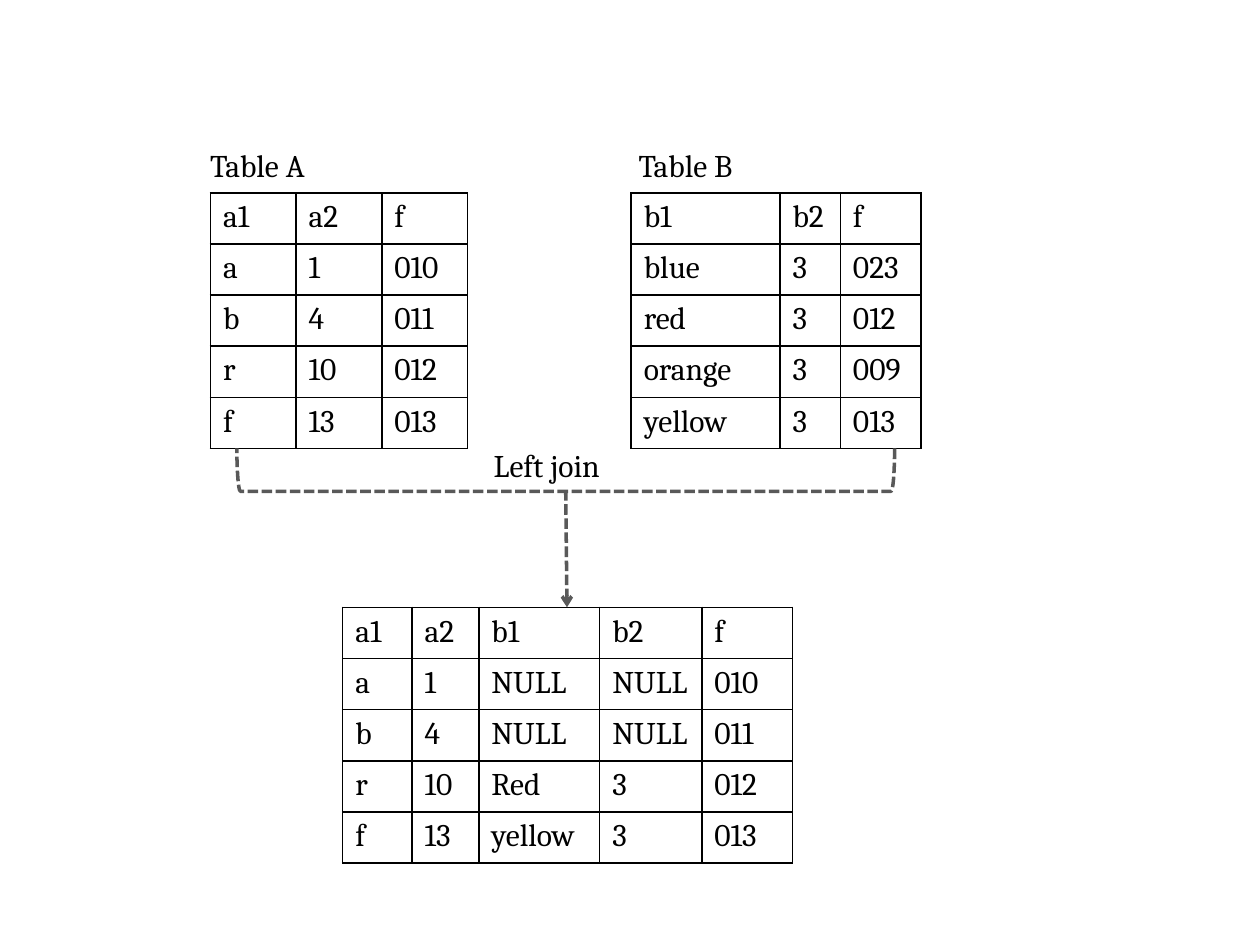
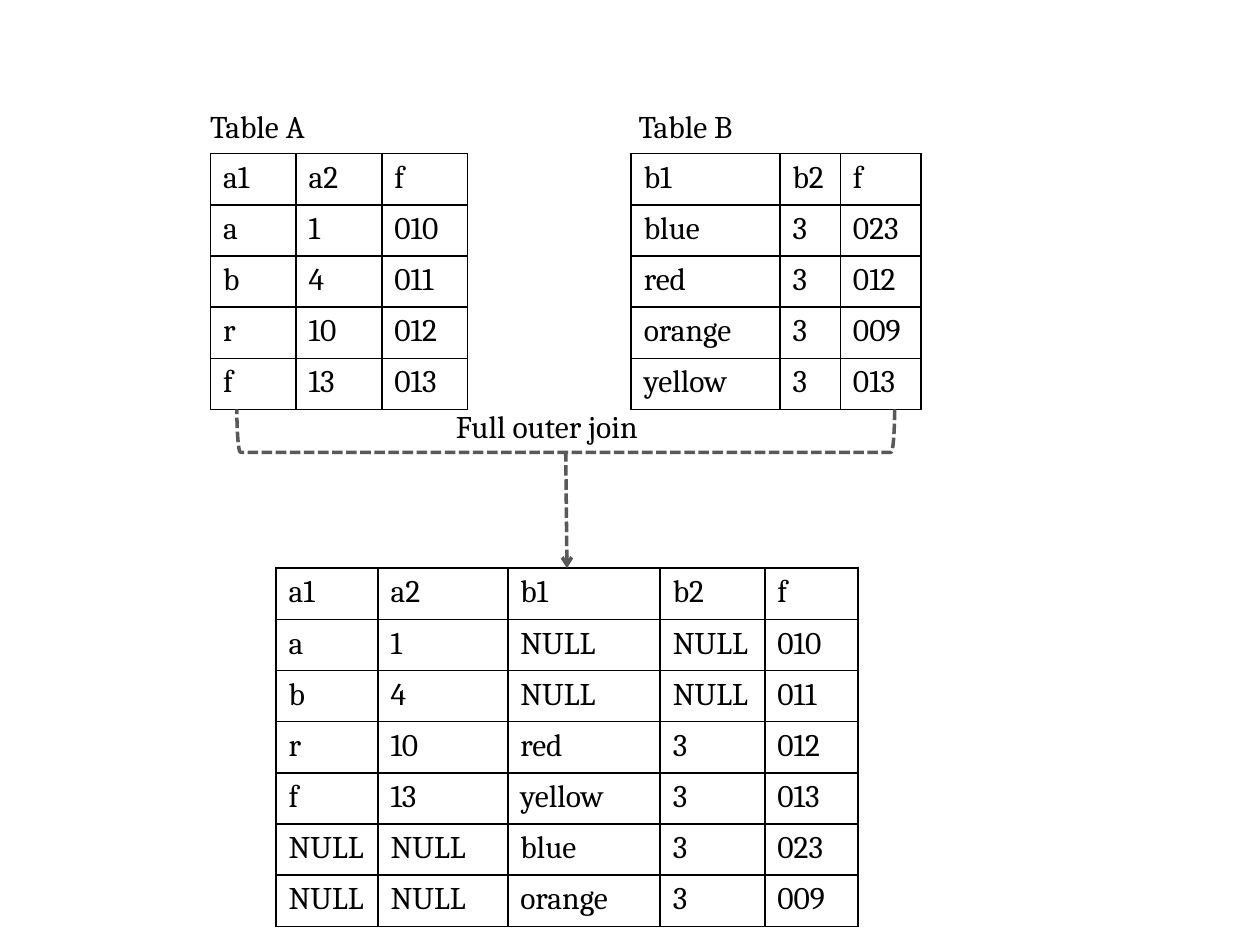
from lxml.etree import SubElement
from pptx import Presentation
from pptx.dml.color import RGBColor
from pptx.enum.dml import MSO_LINE_DASH_STYLE as DashStyle
from pptx.enum.shapes import MSO_CONNECTOR as Connector, MSO_SHAPE as ShapeType
from pptx.enum.text import MSO_AUTO_SIZE as AutoSize
from pptx.oxml.ns import qn
from pptx.util import Inches, Pt

FONT = "Cambria"
BLACK = "000000"
GRAY = "595959"
ROW_HEIGHT = 2.03 / 5
LEFT_COLUMNS = [0.68, 0.68, 0.68]
RIGHT_COLUMNS = [1.18, 0.48, 0.64]

TABLE_A = [
    ["a1", "a2", "f"],
    ["a", "1", "010"],
    ["b", "4", "011"],
    ["r", "10", "012"],
    ["f", "13", "013"],
]
TABLE_B = [
    ["b1", "b2", "f"],
    ["blue", "3", "023"],
    ["red", "3", "012"],
    ["orange", "3", "009"],
    ["yellow", "3", "013"],
]
UNMATCHED_A = [
    ["a1", "a2", "b1", "b2", "f"],
    ["a", "1", "NULL", "NULL", "010"],
    ["b", "4", "NULL", "NULL", "011"],
]
LEFT_JOIN = UNMATCHED_A + [
    ["r", "10", "Red", "3", "012"],
    ["f", "13", "yellow", "3", "013"],
]
FULL_OUTER_JOIN = UNMATCHED_A + [
    ["r", "10", "red", "3", "012"],
    ["f", "13", "yellow", "3", "013"],
    ["NULL", "NULL", "blue", "3", "023"],
    ["NULL", "NULL", "orange", "3", "009"],
]


def color(value):
    return RGBColor.from_string(value)


def write(text_frame, text):
    text_frame.text = text
    font = text_frame.paragraphs[0].runs[0].font
    font.name = FONT
    font.size = Pt(18)
    font.bold = False
    font.color.rgb = color(BLACK)


def add_label(slide, left, top, width, text):
    box = slide.shapes.add_textbox(
        Inches(left), Inches(top), Inches(width), Inches(0.4)
    )
    box.text_frame.word_wrap = True
    box.text_frame.auto_size = AutoSize.SHAPE_TO_FIT_TEXT
    write(box.text_frame, text)


def outline_cell(cell):
    properties = cell._tc.get_or_add_tcPr()
    for side in ("a:lnL", "a:lnR", "a:lnT", "a:lnB"):
        border = SubElement(properties, qn(side), w=str(Pt(1)))
        fill = SubElement(border, qn("a:solidFill"))
        SubElement(fill, qn("a:srgbClr"), val=BLACK)
    cell.fill.background()


def add_grid(slide, left, top, column_widths, rows):
    frame = slide.shapes.add_table(
        len(rows), len(column_widths), Inches(left), Inches(top),
        Inches(sum(column_widths)), Inches(ROW_HEIGHT * len(rows)),
    )
    table = frame.table
    table.first_row = False
    table.horz_banding = False
    for column, width in zip(table.columns, column_widths):
        column.width = Inches(width)
    for row, values in zip(table.rows, rows):
        row.height = Inches(ROW_HEIGHT)
        for cell, value in zip(row.cells, values):
            write(cell.text_frame, value)
            outline_cell(cell)


def style_dashed_line(line):
    line.color.rgb = color(GRAY)
    line.width = Pt(2)
    line.dash_style = DashStyle.SQUARE_DOT


def add_bracket(slide, center_x, center_y, span, depth):
    bracket = slide.shapes.add_shape(
        ShapeType.RIGHT_BRACKET,
        Inches(center_x - depth / 2), Inches(center_y - span / 2),
        Inches(depth), Inches(span),
    )
    bracket.rotation = 90
    bracket.shadow.inherit = False
    bracket.fill.background()
    style_dashed_line(bracket.line)


def add_arrow(slide, start, end):
    arrow = slide.shapes.add_connector(
        Connector.STRAIGHT, *(Inches(length) for length in (*start, *end))
    )
    style_dashed_line(arrow.line)
    SubElement(arrow.line._get_or_add_ln(), qn("a:tailEnd"), type="arrow")
    SubElement(arrow._element.spPr, qn("a:effectLst"))


def add_join_slide(presentation, top, label, label_left, label_width,
                   result_left, result_columns, result_rows):
    slide = presentation.slides.add_slide(presentation.slide_layouts[6])
    add_grid(slide, 1.67, top, LEFT_COLUMNS, TABLE_A)
    add_grid(slide, 5.01, top, RIGHT_COLUMNS, TABLE_B)
    add_label(slide, 1.57, top - 0.42, 2.13, "Table A")
    add_label(slide, 4.97, top - 0.42, 2.13, "Table B")
    add_bracket(slide, 4.49, top + 2.2, 5.22, 0.34)
    add_label(slide, label_left, top + 1.96, label_width, label)
    result_top = top + 3.29
    add_grid(slide, result_left, result_top, result_columns, result_rows)
    add_arrow(slide, (4.49, top + 2.36), (4.5, result_top))


def main():
    presentation = Presentation()
    presentation.slide_width = Inches(10)
    presentation.slide_height = Inches(7.5)
    add_join_slide(presentation, 1.53, "Left join", 3.82, 1.42,
                   2.72, [0.55, 0.53, 0.96, 0.81, 0.72], LEFT_JOIN)
    add_join_slide(presentation, 1.22, "Full outer join", 3.52, 2.16,
                   2.19, [0.81, 1.03, 1.21, 0.83, 0.74], FULL_OUTER_JOIN)
    presentation.save("out.pptx")


if __name__ == "__main__":
    main()
